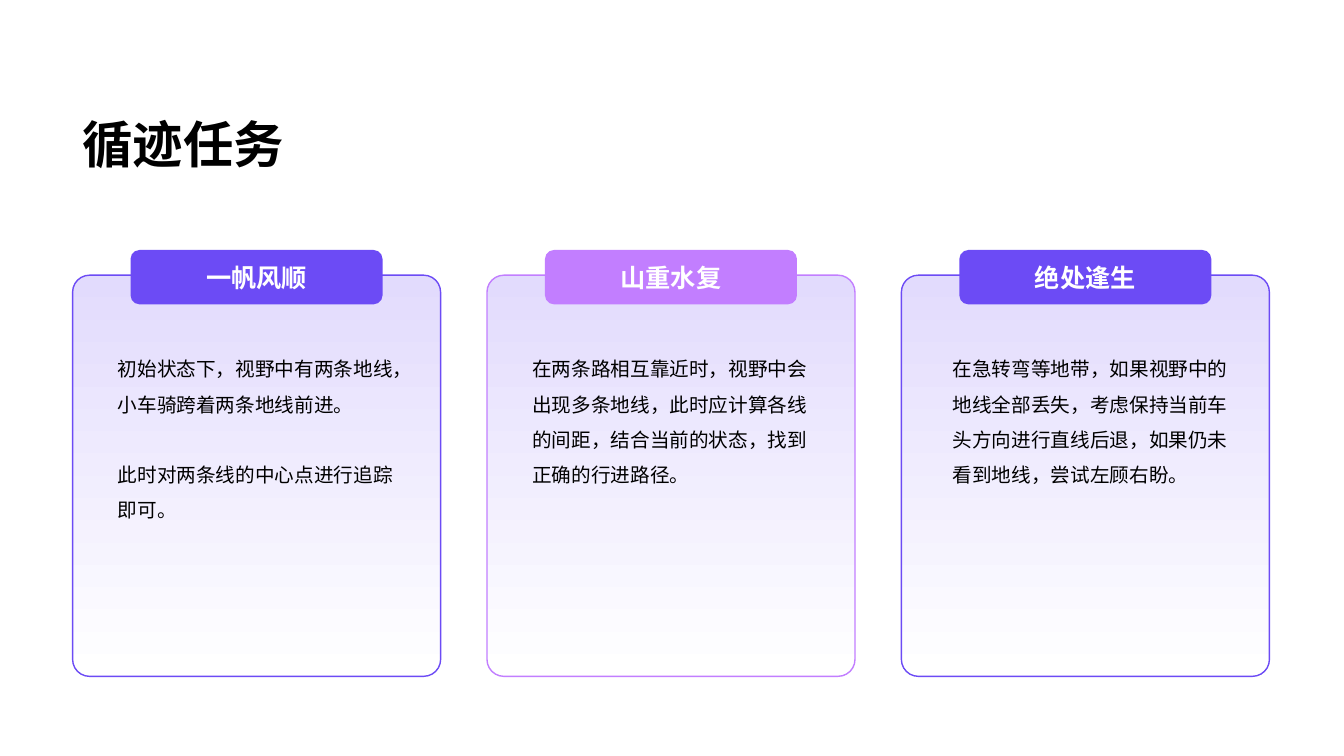
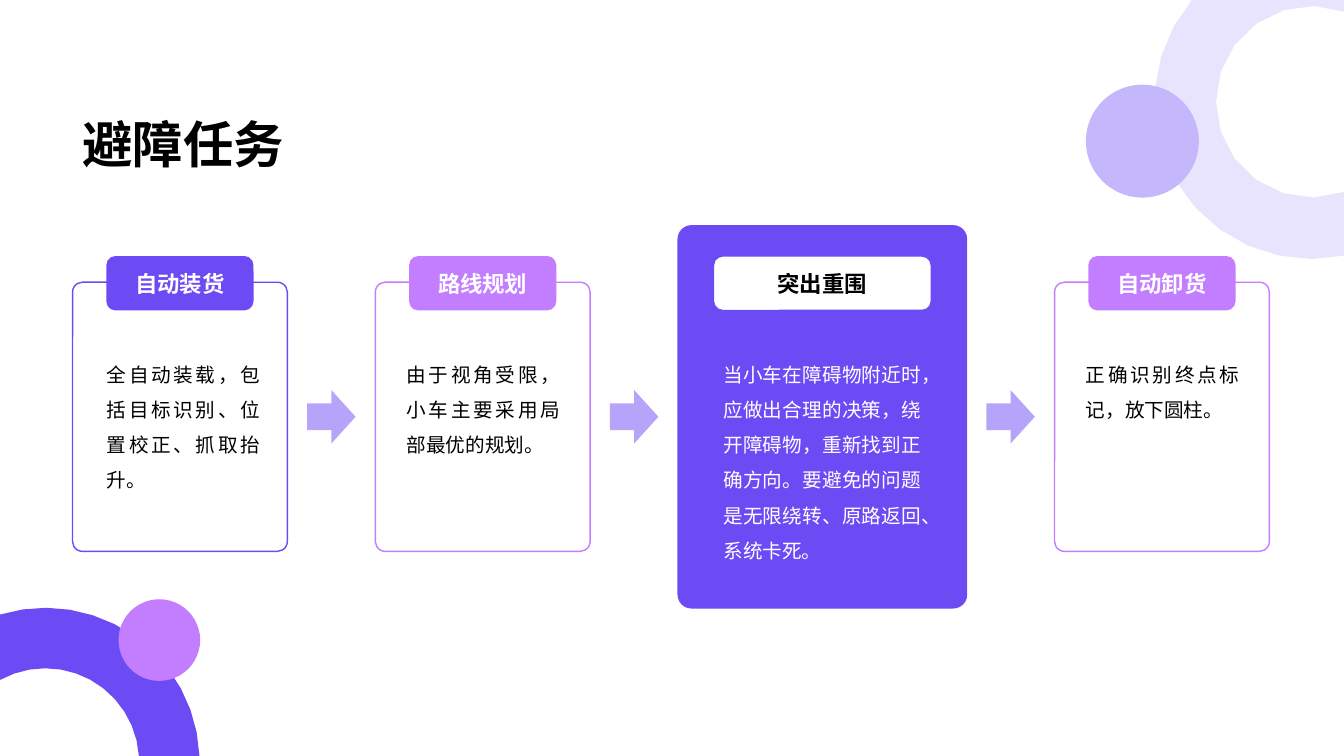
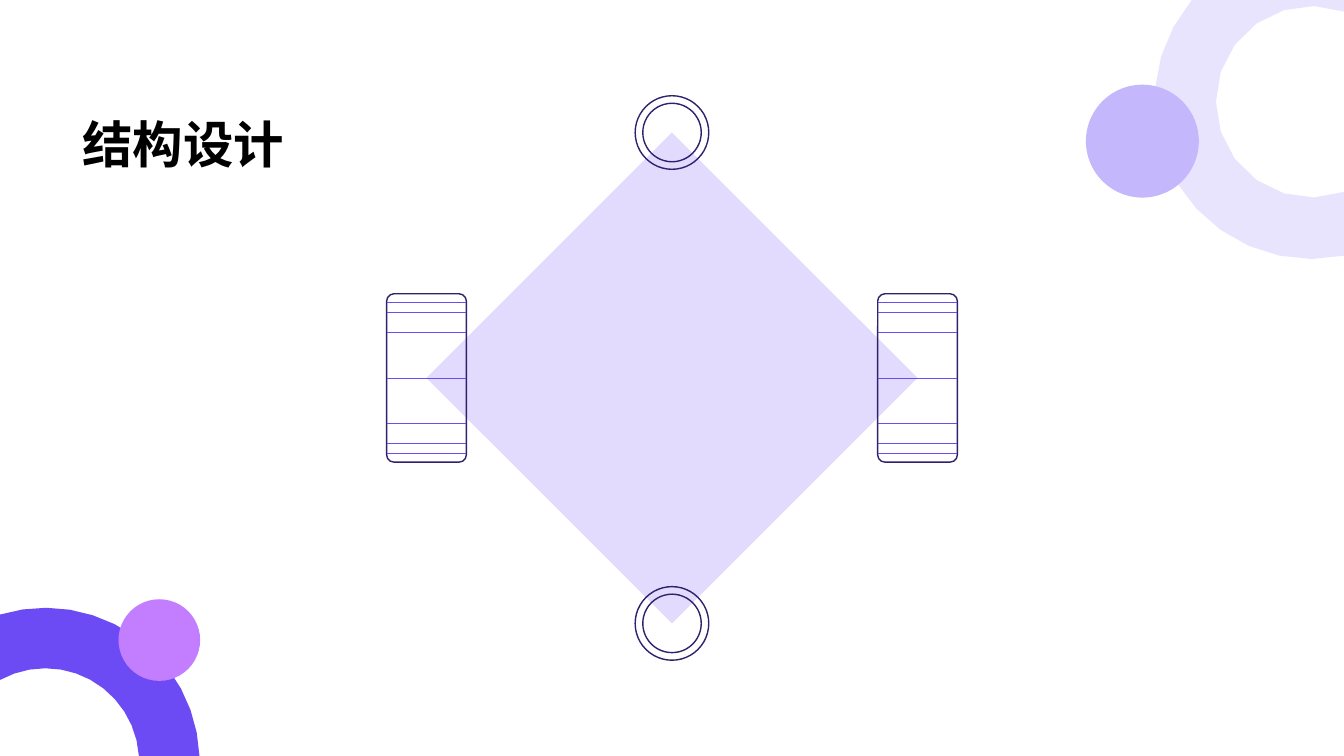
from dataclasses import dataclass
from math import cos, radians, sin

from lxml import etree
from pptx import Presentation
from pptx.dml.color import RGBColor
from pptx.enum.shapes import MSO_CONNECTOR, MSO_SHAPE
from pptx.enum.text import MSO_ANCHOR, MSO_AUTO_SIZE, PP_ALIGN
from pptx.oxml.ns import qn
from pptx.util import Inches, Pt

ROUNDED = MSO_SHAPE.ROUNDED_RECTANGLE
OVAL = MSO_SHAPE.OVAL
ARROW = MSO_SHAPE.RIGHT_ARROW
DIAMOND = MSO_SHAPE.FLOWCHART_DECISION
STRAIGHT = MSO_CONNECTOR.STRAIGHT
MIDDLE = MSO_ANCHOR.MIDDLE
FIT_TEXT = MSO_AUTO_SIZE.SHAPE_TO_FIT_TEXT
LEFT, CENTER, JUSTIFY = PP_ALIGN.LEFT, PP_ALIGN.CENTER, PP_ALIGN.JUSTIFY

FONT = "Arial"
VIOLET, ORCHID, NAVY = "6C4BF5", "C27EFF", "2F216B"
LAVENDER, LILAC = "E2DBFD", "C4B7FB"
BLACK, WHITE = "000000", "FFFFFF"

SLIDE_W, SLIDE_H = 13.33, 7.5
MARGIN_L, MARGIN_R = 0.72, 12.59
PANEL_ADJ, PILL_ADJ = 0.046, 0.167
PILL_H = 0.54
ARC_STEPS = 12


@dataclass
class Card:
    heading: str
    paragraphs: list[str]
    color: str
    text_dx: float = 0.35


@dataclass
class Step:
    heading: str
    body: str
    color: str
    text_dx: float = 0.21
    width: float = 2.13
    top: float = 2.8
    height: float = 2.67
    pill_w: float = 1.46
    text_w: float = 1.72
    highlighted: bool = False


@dataclass
class Ring:
    cx: float
    cy: float
    outer: float
    inner: float
    outer_arc: tuple[float, float]
    inner_arc: tuple[float, float]
    corners: list[tuple[float, float]]
    color: str
    opacity: int


@dataclass
class Dot:
    cx: float
    cy: float
    diameter: float
    color: str


CARDS = [
    Card("一帆风顺", ["初始状态下，视野中有两条地线，小车骑跨着两条地线前进。",
                  "此时对两条线的中心点进行追踪即可。"], VIOLET),
    Card("山重水复", ["在两条路相互靠近时，视野中会出现多条地线，此时应计算各线的间距，"
                  "结合当前的状态，找到正确的行进路径。"], ORCHID),
    Card("绝处逢生", ["在急转弯等地带，如果视野中的地线全部丢失，考虑保持当前车头方向进行直线后退，"
                  "如果仍未看到地线，尝试左顾右盼。"], VIOLET, text_dx=0.41),
]

STEPS = [
    Step("自动装货", "全自动装载，包括目标识别、位置校正、抓取抬升。", VIOLET, text_dx=0.24),
    Step("路线规划", "由于视角受限，小车主要采用局部最优的规划。", ORCHID),
    Step("突出重围", "当小车在障碍物附近时，应做出合理的决策，绕开障碍物，重新找到正确方向。"
         "要避免的问题是无限绕转、原路返回、系统卡死。", VIOLET, text_dx=0.35,
         width=2.86, top=2.24, height=3.79, pill_w=2.16, text_w=2.16, highlighted=True),
    Step("自动卸货", "正确识别终点标记，放下圆柱。", ORCHID),
]

RINGS = [
    Ring(13.01, 1.01, 1.56, 0.95, (78.2, 220.3), (289.7, 70.3),
         [(SLIDE_W, 0)], VIOLET, 15),
    Ring(0.45, 7.56, 1.53, 0.93, (252.9, 357.75), (356.3, 241.06),
         [], VIOLET, 100),
]
DOTS = [Dot(11.33, 1.4, 1.12, LILAC), Dot(1.58, 6.35, 0.81, ORCHID)]


def rgb(color: str) -> RGBColor:
    return RGBColor.from_string(color)


def paint(sp, fill: str | None, line: str | None = None, opacity: int = 100) -> None:
    sp.shadow.inherit = False
    if fill:
        sp.fill.solid()
        sp.fill.fore_color.rgb = rgb(fill)
        if opacity < 100:
            clr = sp._element.spPr.find(qn("a:solidFill"))[0]
            etree.SubElement(clr, qn("a:alpha")).set("val", str(opacity * 1000))
    else:
        sp.fill.background()
    if line:
        sp.line.color.rgb = rgb(line)
        sp.line.width = Pt(1)
    else:
        sp.line.fill.background()


def add_box(shapes, kind, x: float, y: float, w: float, h: float, fill: str | None,
            line: str | None = None, adj: float | None = None, opacity: int = 100):
    sp = shapes.add_shape(kind, Inches(x), Inches(y), Inches(w), Inches(h))
    if adj is not None:
        sp.adjustments[0] = adj
    paint(sp, fill, line, opacity)
    return sp


def add_circle(shapes, cx: float, cy: float, d: float, fill: str | None,
               line: str | None = None) -> None:
    add_box(shapes, OVAL, cx - d / 2, cy - d / 2, d, d, fill, line)


def style(p, size: int, color: str, bold: bool = False, align=LEFT) -> None:
    p.alignment = align
    p.font.name = FONT
    p.font.size = Pt(size)
    p.font.bold = bold
    p.font.color.rgb = rgb(color)


def add_text(s, x: float, y: float, w: float, h: float, paragraphs: list[str], size: int,
             color: str, bold: bool = False, align=LEFT, spacing: float = 1.0) -> None:
    tf = s.shapes.add_textbox(Inches(x), Inches(y), Inches(w), Inches(h)).text_frame
    tf.word_wrap = True
    tf.auto_size = FIT_TEXT
    for i, text in enumerate(paragraphs):
        p = tf.add_paragraph() if i else tf.paragraphs[0]
        p.text = text
        p.line_spacing = spacing
        if i:
            p.space_before = Pt(25)
        style(p, size, color, bold, align)


def add_pill(s, cx: float, y: float, w: float, text: str, size: int, fill: str,
             color: str = WHITE, line: str | None = None) -> None:
    sp = add_box(s.shapes, ROUNDED, cx - w / 2, y, w, PILL_H, fill, line, PILL_ADJ)
    tf = sp.text_frame
    tf.vertical_anchor = MIDDLE
    p = tf.paragraphs[0]
    p.text = text
    style(p, size, color, True, CENTER)


def arc(ring: Ring, radius: float, span: tuple[float, float]) -> list[tuple[float, float]]:
    start, end = span
    angles = [radians(start + (end - start) * i / ARC_STEPS) for i in range(ARC_STEPS + 1)]
    return [(ring.cx + radius * cos(a), ring.cy + radius * sin(a)) for a in angles]


def add_ring(s, ring: Ring) -> None:
    outline = (arc(ring, ring.outer, ring.outer_arc) + ring.corners
               + arc(ring, ring.inner, ring.inner_arc))
    points = [(Inches(min(max(x, 0), SLIDE_W)), Inches(min(max(y, 0), SLIDE_H)))
              for x, y in outline]
    builder = s.shapes.build_freeform(*points[0], scale=1.0)
    builder.add_line_segments(points[1:], close=True)
    paint(builder.convert_to_shape(), ring.color, opacity=ring.opacity)


def add_decor(s) -> None:
    for ring, dot in zip(RINGS, DOTS):
        add_ring(s, ring)
        add_circle(s.shapes, dot.cx, dot.cy, dot.diameter, dot.color)


def new_slide(prs, title: str):
    s = prs.slides.add_slide(prs.slide_layouts[6])
    add_text(s, MARGIN_L, 1.07, 4.75, 0.71, [title], 36, BLACK, True)
    return s


def add_card(s, x: float, w: float, card: Card) -> None:
    panel = add_box(s.shapes, ROUNDED, x, 2.73, w, 3.98, WHITE, card.color, PANEL_ADJ)
    panel.fill.gradient()
    panel.fill.gradient_angle = 270
    for stop, position, color in zip(panel.fill.gradient_stops, (0, 1), (LAVENDER, WHITE)):
        stop.position = position
        stop.color.rgb = rgb(color)
    add_pill(s, x + w / 2, 2.48, 2.5, card.heading, 18, card.color)
    add_text(s, x + card.text_dx, 3.38, 2.95, 1.47, card.paragraphs, 14, BLACK, spacing=1.5)


def add_step(s, x: float, step: Step) -> None:
    hot = step.highlighted
    add_box(s.shapes, ROUNDED, x, step.top, step.width, step.height,
            step.color if hot else None, step.color, PANEL_ADJ)
    add_pill(s, x + step.width / 2, 2.54, step.pill_w, step.heading, 16,
             WHITE if hot else step.color, BLACK if hot else WHITE,
             step.color if hot else None)
    add_text(s, x + step.text_dx, 3.43, step.text_w, 1.47, [step.body], 14,
             WHITE if hot else BLACK, align=JUSTIFY, spacing=1.5)


def add_wheel(s, cx: float, cy: float) -> None:
    w, h = 0.79, 1.67
    shapes = s.shapes.add_group_shape().shapes
    tyre = add_box(shapes, ROUNDED, cx - w / 2, cy - h / 2, w, h, None, NAVY, 0.091)
    for dy in (-0.75, -0.65, -0.45, 0, 0.45, 0.65, 0.75):
        tread = shapes.add_connector(STRAIGHT, Inches(cx - w / 2), Inches(cy + dy),
                                     Inches(cx + w / 2), Inches(cy + dy))
        tread.line.color.rgb = rgb(VIOLET)
        tread.line.width = Pt(0.5)
        etree.SubElement(tread._element.spPr, qn("a:effectLst"))
        if dy == 0:
            tread.begin_connect(tyre, 1)
            tread.end_connect(tyre, 3)


def add_caster(s, cx: float, cy: float) -> None:
    shapes = s.shapes.add_group_shape().shapes
    for diameter in (0.58, 0.73):
        add_circle(shapes, cx, cy, diameter, None, NAVY)


def build_path_finding(prs) -> None:
    s = new_slide(prs, "循迹任务")
    w = 3.65
    pitch = (MARGIN_R - MARGIN_L - w) / (len(CARDS) - 1)
    for i, card in enumerate(CARDS):
        add_card(s, MARGIN_L + i * pitch, w, card)


def build_barrier_avoiding(prs) -> None:
    s = new_slide(prs, "避障任务")
    gap = (MARGIN_R - MARGIN_L - sum(step.width for step in STEPS)) / (len(STEPS) - 1)
    arrow_w = 0.48
    x = MARGIN_L
    for i, step in enumerate(STEPS):
        if i:
            add_box(s.shapes, ARROW, x - (gap + arrow_w) / 2, 3.87, arrow_w, 0.53,
                    VIOLET, opacity=50)
        add_step(s, x, step)
        x += step.width + gap
    add_decor(s)


def build_structure_design(prs) -> None:
    s = new_slide(prs, "结构设计")
    add_decor(s)
    cx, cy, size = SLIDE_W / 2, SLIDE_H / 2, 4.87
    add_box(s.shapes, DIAMOND, cx - size / 2, cy - size / 2, size, size, LAVENDER)
    for side in (-1, 1):
        add_wheel(s, cx + side * size / 2, cy)
        add_caster(s, cx, cy + side * size / 2)


def main() -> None:
    prs = Presentation()
    prs.slide_width, prs.slide_height = Inches(SLIDE_W), Inches(SLIDE_H)
    build_path_finding(prs)
    build_barrier_avoiding(prs)
    build_structure_design(prs)
    prs.save("out.pptx")


if __name__ == "__main__":
    main()
